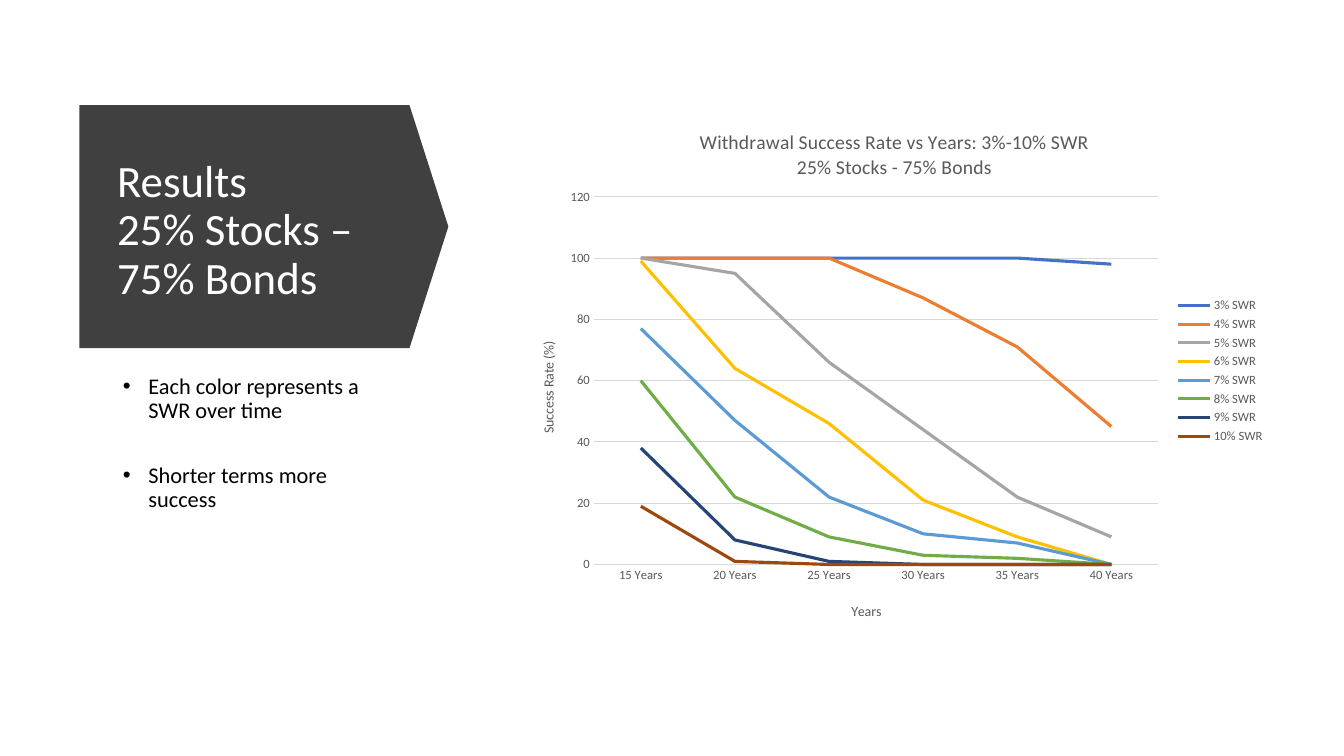
from lxml import etree
from pptx import Presentation
from pptx import util as u
from pptx.chart.data import CategoryChartData
from pptx.dml.color import RGBColor
from pptx.enum import chart as charts, shapes, text
from pptx.oxml import parse_xml
from pptx.oxml.ns import nsdecls, qn

FONT = "Calibri"
COLORS = {"banner": "404040", "title": "FFFFFF", "body": "000000",
          "label": "595959", "grid": "D9D9D9"}
YEARS = [f"{n} Years" for n in range(15, 41, 5)]
RATES = [
    ("3% SWR", "4472C4", (100, 100, 100, 100, 100, 98)),
    ("4% SWR", "ED7D31", (100, 100, 100, 87, 71, 45)),
    ("5% SWR", "A5A5A5", (100, 95, 66, 44, 22, 9)),
    ("6% SWR", "FFC000", (99, 64, 46, 21, 9, 0)),
    ("7% SWR", "5B9BD5", (77, 47, 22, 10, 7, 0)),
    ("8% SWR", "70AD47", (60, 22, 9, 3, 2, 0)),
    ("9% SWR", "264478", (38, 8, 1, 0, 0, 0)),
    ("10% SWR", "9E480E", (19, 1, 0, 0, 0, 0)),
]


def style_font(font, size, color):
    font.name = FONT
    font.size = u.Pt(size)
    font.bold = False
    font.color.rgb = RGBColor.from_string(COLORS[color])


def add_span(para, words, size, color):
    span = para.add_run()
    span.text = words
    style_font(span.font, size, color)


def set_layout(element, index, inner=False, **fractions):
    for old in element.findall(qn("c:layout")):
        element.remove(old)
    layout = parse_xml(f"<c:layout {nsdecls('c')}><c:manualLayout/></c:layout>")
    settings = {"layoutTarget": "inner"} if inner else {}
    settings.update(xMode="edge", yMode="edge", **fractions)
    for key, value in settings.items():
        etree.SubElement(layout[0], qn(f"c:{key}")).set("val", str(value))
    element.insert(index, layout)


def add_banner(page, left, top, width, height):
    arrow = page.shapes.add_shape(
        shapes.MSO_SHAPE.DOWN_ARROW,
        left + (width - height) // 2, top + (height - width) // 2, height, width)
    arrow.rotation = 270
    arrow.adjustments[0] = 1
    arrow.adjustments[1] = 0.16
    arrow.shadow.inherit = False
    arrow.fill.solid()
    arrow.fill.fore_color.rgb = RGBColor.from_string(COLORS["banner"])
    arrow.line.fill.background()

    title = page.shapes.title
    arrow._element.addnext(title._element)
    title.left, title.top = left + u.Cm(0.7), top + u.Cm(0.7)
    title.width, title.height = width - u.Cm(1.88), height - u.Cm(1.17)
    frame = title.text_frame
    frame.auto_size = text.MSO_AUTO_SIZE.NONE
    frame.word_wrap = True
    frame.vertical_anchor = text.MSO_ANCHOR.MIDDLE
    para = frame.paragraphs[0]
    para.alignment = text.PP_ALIGN.LEFT
    para.line_spacing = 0.9
    add_span(para, "Results", 32, "title")
    para.add_line_break()
    add_span(para, "25% Stocks – 75% Bonds", 32, "title")


def add_notes_list(page, left, top, width, height):
    frame = page.shapes.add_textbox(left, top, width, height).text_frame
    frame.word_wrap = True
    points = ("Each color represents a SWR over time", "Shorter terms more success")
    for number, point in enumerate(points):
        para = frame.add_paragraph() if number else frame.paragraphs[0]
        para.line_spacing = 0.9
        para.space_after = u.Pt(29.5)
        props = para._p.get_or_add_pPr()
        props.set("marL", str(u.Cm(0.79)))
        props.set("indent", str(u.Cm(-0.64)))
        etree.SubElement(props, qn("a:buFont")).set("typeface", "Arial")
        etree.SubElement(props, qn("a:buChar")).set("char", "•")
        add_span(para, point, 16, "body")


def write_title(title, lines, size, x, y):
    frame = title.text_frame
    for number, line in enumerate(lines):
        para = frame.add_paragraph() if number else frame.paragraphs[0]
        add_span(para, line, size, "label")
    set_layout(title._element, 1, x=x, y=y)


def style_axis(axis, name, x, y):
    axis.major_tick_mark = axis.minor_tick_mark = charts.XL_TICK_MARK.NONE
    style_font(axis.tick_labels.font, 9, "label")
    write_title(axis.axis_title, [name], 10, x, y)


def style_rule(line):
    line.color.rgb = RGBColor.from_string(COLORS["grid"])
    line.width = u.Pt(0.75)


def add_rate_chart(page, left, top, width, height):
    data = CategoryChartData()
    data.categories = YEARS
    for name, _, values in RATES:
        data.add_series(name, values)
    chart = page.shapes.add_chart(
        charts.XL_CHART_TYPE.LINE, left, top, width, height, data).chart
    style_font(chart.font, 10, "body")
    chart.has_title = True
    write_title(chart.chart_title,
                ["Withdrawal Success Rate vs Years: 3%-10% SWR", "25% Stocks - 75% Bonds"],
                14, 0.24, 0.04)
    style_axis(chart.category_axis, "Years", 0.44, 0.93)
    style_rule(chart.category_axis.format.line)
    rate_axis = chart.value_axis
    style_axis(rate_axis, "Success Rate (%)", 0.03, 0.44)
    rate_axis.minimum_scale, rate_axis.maximum_scale = 0, 120
    rate_axis.major_unit = 20
    rate_axis.format.line.fill.background()
    style_rule(rate_axis.major_gridlines.format.line)

    chart.has_legend = True
    chart.legend.position = charts.XL_LEGEND_POSITION.RIGHT
    chart.legend.include_in_layout = False
    style_font(chart.legend.font, 9, "label")
    plot = chart.plots[0]
    plot.vary_by_categories = False
    for series, (_, color, _) in zip(plot.series, RATES):
        series.smooth = False
        series.marker.style = charts.XL_MARKER_STYLE.NONE
        series.format.line.color.rgb = RGBColor.from_string(color)
        series.format.line.width = u.Pt(2.25)
    plot_area = chart._chartSpace.chart.plotArea
    set_layout(plot_area, 0, inner=True, x=0.105, y=0.173, w=0.742, h=0.691)


def main():
    deck = Presentation()
    deck.slide_width, deck.slide_height = u.Cm(33.87), u.Cm(19.05)
    page = deck.slides.add_slide(deck.slide_layouts[5])
    add_banner(page, u.Cm(2), u.Cm(2.65), u.Cm(9.3), u.Cm(6.12))
    add_notes_list(page, u.Cm(2.7), u.Cm(9.32), u.Cm(7.42), u.Cm(6.73))
    add_rate_chart(page, u.Cm(12.95), u.Cm(2.64), u.Cm(19.18), u.Cm(13.41))
    deck.save("out.pptx")


if __name__ == "__main__":
    main()
